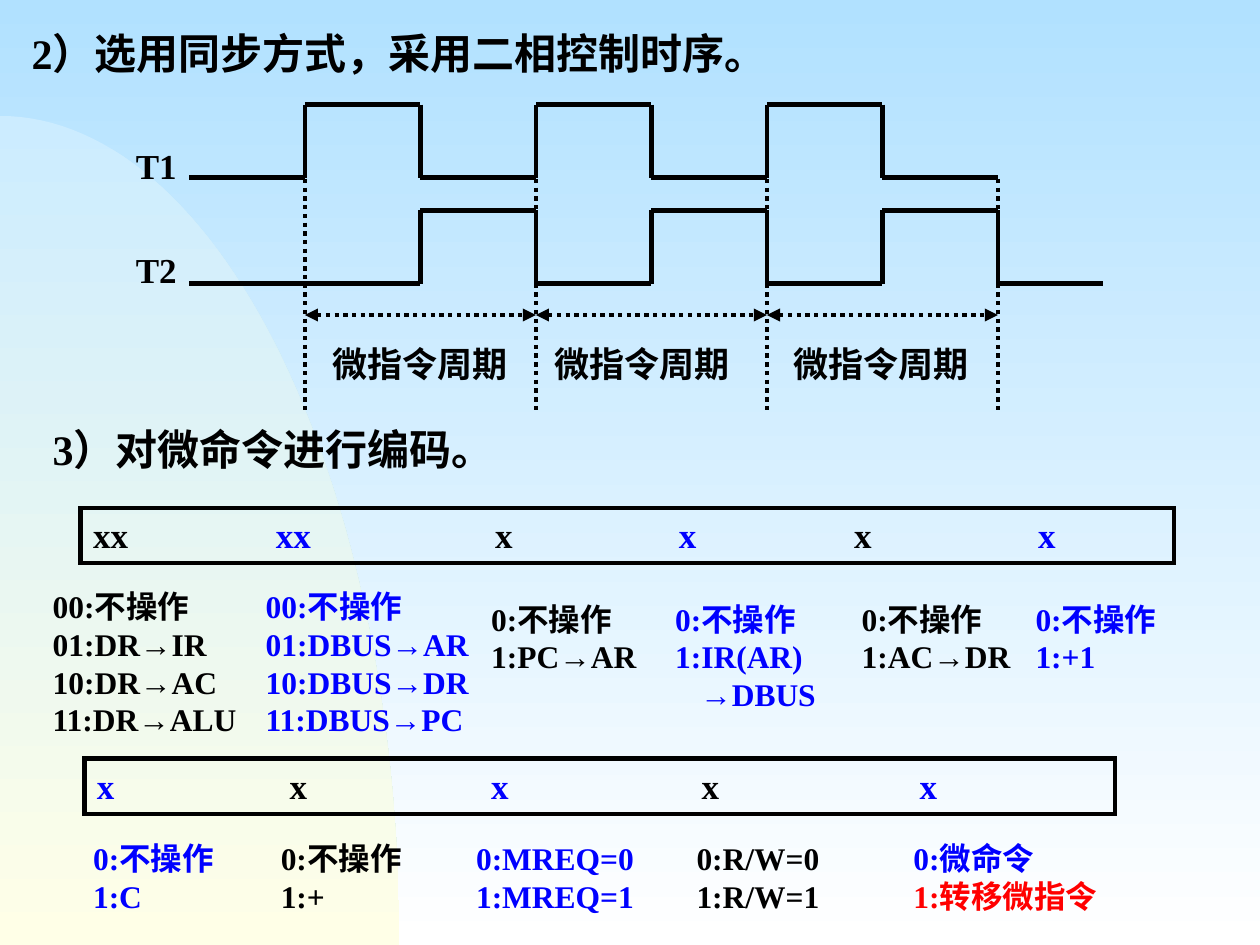
"""Build the slide on two-phase control timing and micro-command encoding."""
from math import cos, pi, sin

from lxml.etree import SubElement
from pptx import Presentation
from pptx.dml.color import RGBColor
from pptx.enum.dml import MSO_LINE
from pptx.enum.shapes import MSO_CONNECTOR, MSO_SHAPE
from pptx.enum.text import MSO_ANCHOR, MSO_AUTO_SIZE as FIT, PP_ALIGN
from pptx.oxml.ns import qn
from pptx.util import Inches, Pt

COLORS = {"black": "000000", "blue": "0000FF", "red": "FF0000",
          "sky": "B1E1FF", "white": "FFFFFF", "pale": "CCECFF", "cream": "FFFFE7"}
FONT = {"name": "Times New Roman", "bold": True}
FRAME = {"word_wrap": True, "auto_size": FIT.SHAPE_TO_FIT_TEXT,
         "vertical_anchor": MSO_ANCHOR.TOP, "margin_right": 0}
WIDTH, HEIGHT = 10, 7.5

TIMING = "2）选用同步方式，采用二相控制时序。"
ENCODING = "3）对微命令进行编码。"
CYCLE, CYCLE_LEFTS = "微指令周期", (2.54, 4.3, 6.2)
CYCLE_START, CYCLE_END, PHASES = 2.42, 7.92, 6
WAVES = [
    {"label": "T1", "top": 0.83, "levels": "0101010", "label_top": 1.1},
    {"label": "T2", "top": 1.67, "levels": "00101010", "label_top": 1.92},
]
WAVE_START, WAVE_END, PULSE = 1.5, 8.75, 0.58
MARK_TOP, MARK_BOTTOM, SPAN_Y = 1.42, 3.25, 2.5

WORDS = [
    {"box": (0.64, 4.03, 8.68, 0.44), "stops": (1.45, 3.19, 4.65, 6.04, 7.5),
     "fields": [
         ("xx", "black", 0.32, 4.61, 1.67, ["00:不操作", "01:DR→IR", "10:DR→AC", "11:DR→ALU"]),
         ("xx", "blue", 2.01, 4.61, 1.81, ["00:不操作", "01:DBUS→AR", "10:DBUS→DR", "11:DBUS→PC"]),
         ("x", "black", 3.8, 4.71, 1.35, ["0:不操作", "1:PC→AR"]),
         ("x", "blue", 5.26, 4.71, 1.3, ["0:不操作", "1:IR(AR)", "→DBUS"]),
         ("x", "black", 6.74, 4.71, 1.38, ["0:不操作", "1:AC→DR"]),
         ("x", "blue", 8.12, 4.71, 1.22, ["0:不操作", "1:+1"])]},
    {"box": (0.67, 6.02, 8.18, 0.44), "stops": (1.53, 3.13, 4.8, 6.53),
     "fields": [
         ("x", "blue", 0.64, 6.61, 1.22, ["0:不操作", "1:C"]),
         ("x", "black", 2.13, 6.61, 1.22, ["0:不操作", "1:+"]),
         ("x", "blue", 3.68, 6.61, 1.45, ["0:MREQ=0", "1:MREQ=1"]),
         ("x", "black", 5.43, 6.61, 1.17, ["0:R/W=0", "1:R/W=1"]),
         ("x", "blue", 7.15, 6.61, 1.72, ["0:微命令", "1:转移微指令"])]},
]
LINE_COLORS = {"1:转移微指令": "red"}
LINE_INDENTS = {"→DBUS": 0.2}


def rgb(color):
    return RGBColor.from_string(COLORS[color])


def shade(fill, start, end):
    fill.gradient()
    fill.gradient_angle = 270
    for stop, color in zip(fill.gradient_stops, (start, end)):
        stop.color.rgb = rgb(color)


def write(frame, lines, size):
    for key, value in FRAME.items():
        setattr(frame, key, value)
    for number, runs in enumerate(lines):
        paragraph = frame.add_paragraph() if number else frame.paragraphs[0]
        paragraph.alignment = PP_ALIGN.LEFT
        for text, color in runs:
            run = paragraph.add_run()
            run.text = text
            for key, value in {**FONT, "size": Pt(size)}.items():
                setattr(run.font, key, value)
            run.font.color.rgb = rgb(color)


def add_text(slide, box, lines, size):
    frame = slide.shapes.add_textbox(*map(Inches, box)).text_frame
    write(frame, lines, size)
    return frame


def add_line(slide, x1, y1, x2, y2, dotted=False, arrows=False):
    connector = slide.shapes.add_connector(
        MSO_CONNECTOR.STRAIGHT, *map(Inches, (x1, y1, x2, y2)))
    line = connector.line
    line.width = Pt(2.5)
    line.color.rgb = rgb("black")
    if dotted:
        line.dash_style = MSO_LINE.ROUND_DOT
    properties = connector.element.spPr
    if arrows:
        for end in ("a:headEnd", "a:tailEnd"):
            SubElement(properties.find(qn("a:ln")), qn(end), type="triangle")
    SubElement(properties, qn("a:effectLst"))


def add_backdrop(slide):
    shade(slide.background.fill, "sky", "white")
    radius_x, radius_y, steps = 3.17, 6.58, 60
    angles = [i * pi / 2 / steps for i in range(steps + 1)]
    arc = [(Inches(radius_x * sin(angle)), Inches(HEIGHT - radius_y * cos(angle)))
           for angle in angles]
    outline = slide.shapes.build_freeform(*arc[0])
    outline.add_line_segments(arc[1:] + [(0, Inches(HEIGHT))], close=True)
    dome = outline.convert_to_shape()
    dome.shadow.inherit = False
    dome.line.fill.background()
    shade(dome.fill, "pale", "cream")


def add_timing(slide):
    phase = (CYCLE_END - CYCLE_START) / PHASES
    edges = [CYCLE_START + i * phase for i in range(PHASES + 1)]
    times = [WAVE_START, *edges, WAVE_END]
    for wave in WAVES:
        high, low = wave["top"], wave["top"] + PULSE
        levels = wave["levels"]
        for i, level in enumerate(levels):
            y = high if level == "1" else low
            add_line(slide, times[i], y, times[i + 1], y)
            if i and level != levels[i - 1]:
                add_line(slide, times[i], high, times[i], low)
        add_text(slide, (0.98, wave["label_top"], 0.52, 0.44), [[(wave["label"], "black")]], 20)
    marks = edges[::2]
    for x in marks:
        add_line(slide, x, MARK_TOP, x, MARK_BOTTOM, dotted=True)
    for start, end, left in zip(marks, marks[1:], CYCLE_LEFTS):
        add_line(slide, start, SPAN_Y, end, SPAN_Y, dotted=True, arrows=True)
        add_text(slide, (left, 2.67, 1.59, 0.44), [[(CYCLE, "black")]], 20)


def add_word(slide, word):
    bar = slide.shapes.add_shape(MSO_SHAPE.RECTANGLE, *map(Inches, word["box"]))
    bar.shadow.inherit = False
    bar.fill.background()
    bar.line.color.rgb = rgb("black")
    bar.line.width = Pt(2.5)
    SubElement(bar.element.spPr.find(qn("a:ln")), qn("a:miter"), lim="800000")
    tabs = SubElement(bar.text_frame.paragraphs[0]._p.get_or_add_pPr(), qn("a:tabLst"))
    for stop in word["stops"]:
        SubElement(tabs, qn("a:tab"), pos=str(Inches(stop)), algn="l")
    write(bar.text_frame, [[("\t" * (i > 0) + field[0], field[1])
                            for i, field in enumerate(word["fields"])]], 20)
    for _, color, left, top, width, codes in word["fields"]:
        lines = [[(code, LINE_COLORS.get(code, color))] for code in codes]
        frame = add_text(slide, (left, top, width, 0.1 + 0.3 * len(codes)), lines, 18)
        for paragraph, code in zip(frame.paragraphs, codes):
            if code in LINE_INDENTS:
                paragraph._p.get_or_add_pPr().set("marL", str(Inches(LINE_INDENTS[code])))


def main():
    deck = Presentation()
    deck.slide_width, deck.slide_height = Inches(WIDTH), Inches(HEIGHT)
    slide = deck.slides.add_slide(deck.slide_layouts[5])
    add_backdrop(slide)
    title = slide.shapes.title
    place = zip(("left", "top", "width", "height"), (0.15, 0.17, 6.43, 0.5))
    for key, value in place:
        setattr(title, key, Inches(value))
    write(title.text_frame, [[(TIMING, "black")]], 24)
    add_timing(slide)
    add_text(slide, (0.32, 3.31, 4.87, 0.5), [[(ENCODING, "black")]], 24)
    for word in WORDS:
        add_word(slide, word)
    deck.save("out.pptx")


if __name__ == "__main__":
    main()
